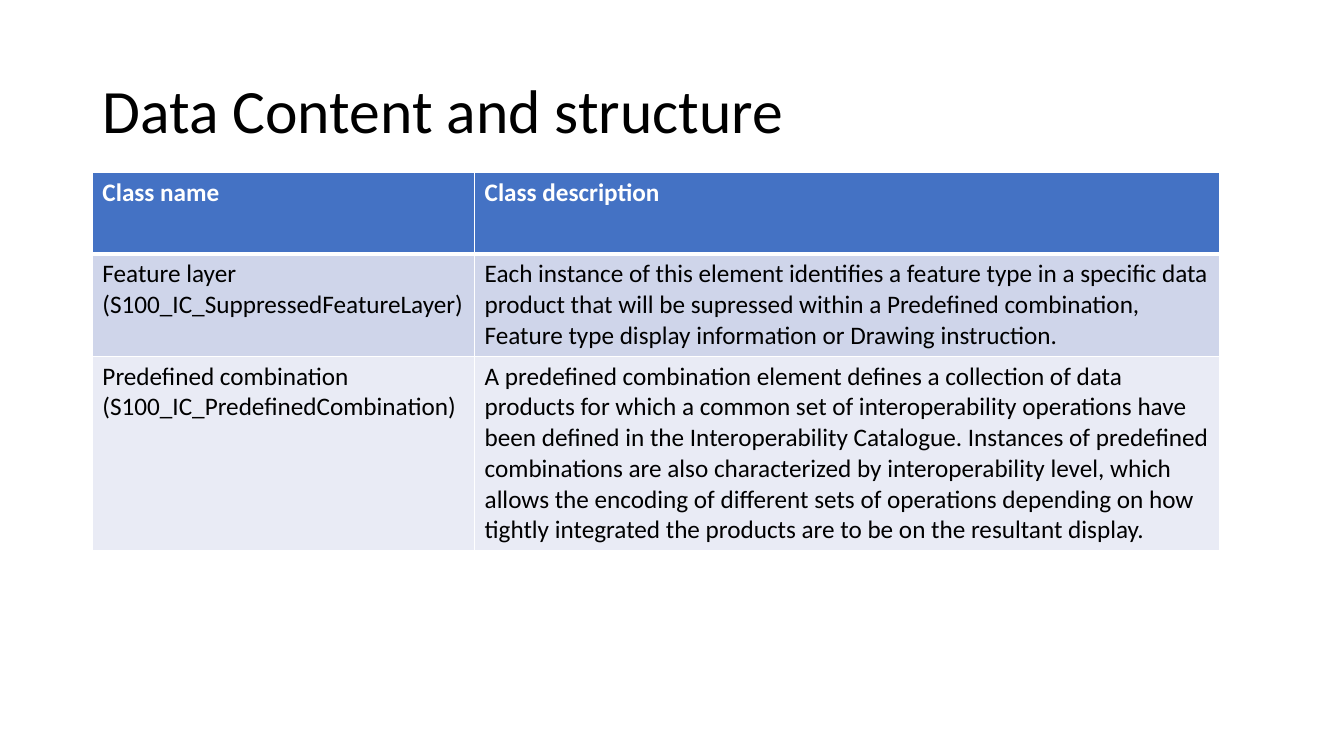
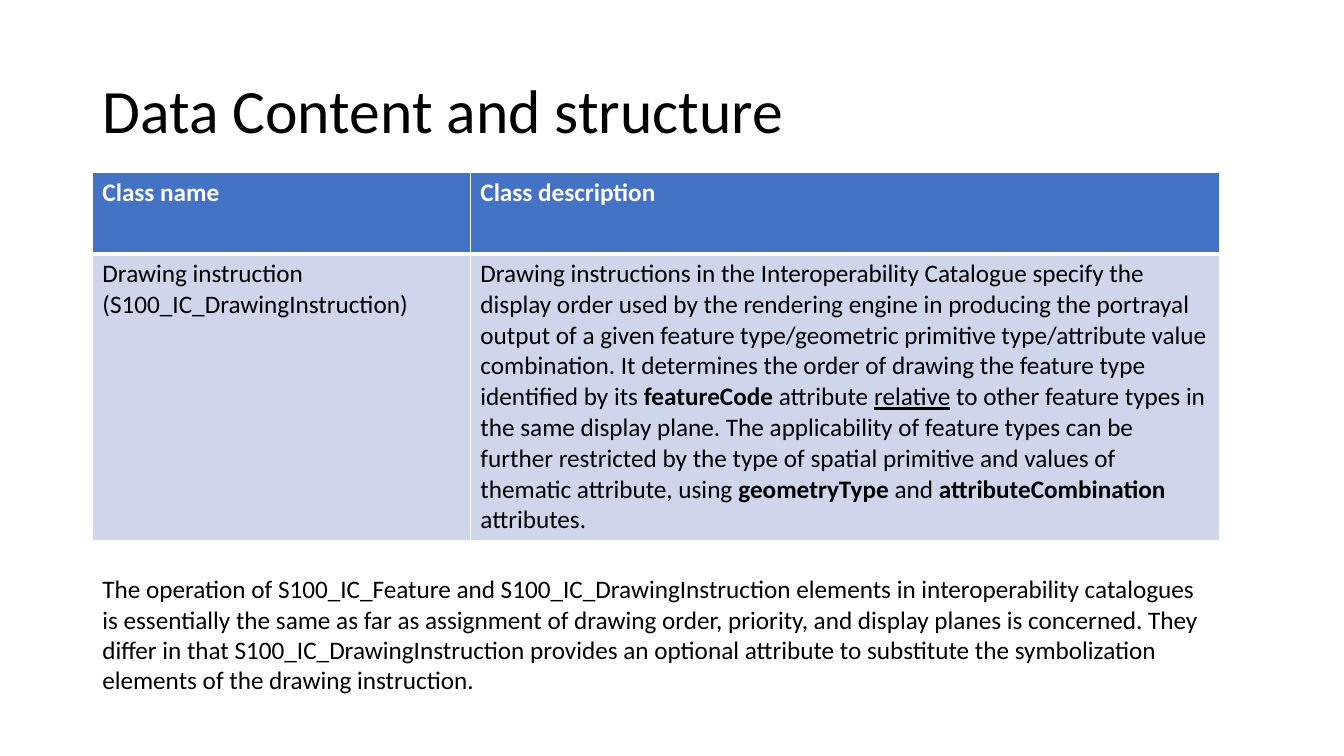
from lxml.etree import SubElement
from pptx import Presentation
from pptx.dml.color import RGBColor
from pptx.enum.text import MSO_ANCHOR, MSO_AUTO_SIZE, PP_ALIGN
from pptx.oxml.ns import qn
from pptx.util import Inches, Pt

WHITE = RGBColor(0xFF, 0xFF, 0xFF)
BLACK = RGBColor(0x00, 0x00, 0x00)
HEADER_BLUE = RGBColor(0x44, 0x72, 0xC4)
BANDS = (RGBColor(0xCF, 0xD5, 0xEA), RGBColor(0xE9, 0xEB, 0xF5))

TITLE = "Data Content and structure"
HEADINGS = ("Class name", "Class description")
BOLD, UNDERLINE = "bold", "underline"

COLUMNS, ROWS = 160, 90
MARGIN = 11
CONTENT_WIDTH = 134.16
TABLE_TOP = 20.5
HEADER_HEIGHT = 9.7

SUPPRESSED_LAYER = (
    "Feature layer (S100_IC_SuppressedFeatureLayer)",
    "Each instance of this element identifies a feature type in a specific data product "
    "that will be supressed within a Predefined combination, Feature type display "
    "information or Drawing instruction.",
)
PREDEFINED_COMBINATION = (
    "Predefined combination (S100_IC_PredefinedCombination)",
    "A predefined combination element defines a collection of data products for which a "
    "common set of interoperability operations have been defined in the Interoperability "
    "Catalogue. Instances of predefined combinations are also characterized by "
    "interoperability level, which allows the encoding of different sets of operations "
    "depending on how tightly integrated the products are to be on the resultant display.",
)
DRAWING_INSTRUCTION = (
    "Drawing instruction (S100_IC_DrawingInstruction)",
    [
        ("Drawing instructions in the Interoperability Catalogue specify the display order "
         "used by the rendering engine in producing the portrayal output of a given feature "
         "type/geometric primitive type/attribute value combination. It determines the order "
         "of drawing the feature type identified by its ", None),
        ("featureCode", BOLD),
        (" attribute ", None),
        ("relative", UNDERLINE),
        (" to other feature types in the same display plane. The applicability of feature "
         "types can be further restricted by the type of spatial primitive and values of "
         "thematic attribute, using ", None),
        ("geometryType", BOLD),
        (" and ", None),
        ("attributeCombination", BOLD),
        (" attributes.", None),
    ],
)
OPERATION_NOTE = (
    "The operation of S100_IC_Feature and S100_IC_DrawingInstruction elements in "
    "interoperability catalogues is essentially the same as far as assignment of drawing "
    "order, priority, and display planes is concerned. They differ in that "
    "S100_IC_DrawingInstruction provides an optional attribute to substitute the "
    "symbolization elements of the drawing instruction."
)


class Deck:
    font_name = "Calibri"
    title_size = 44
    text_size = 18

    def __init__(self):
        self.presentation = Presentation()
        self.presentation.slide_width = Inches(13.33)
        self.presentation.slide_height = Inches(7.5)
        self.slide = None

    def across(self, columns):
        return round(self.presentation.slide_width * columns / COLUMNS)

    def down(self, rows):
        return round(self.presentation.slide_height * rows / ROWS)

    def box(self, left, top, width, height):
        return self.across(left), self.down(top), self.across(width), self.down(height)

    def set_text(self, frame, content, size, color=BLACK, bold=False):
        paragraph = frame.paragraphs[0]
        pieces = [(content, None)] if isinstance(content, str) else content
        for text, emphasis in pieces:
            run = paragraph.add_run()
            run.text = text
            if emphasis == BOLD:
                run.font.bold = True
            elif emphasis == UNDERLINE:
                run.font.underline = True
        font = paragraph.font
        font.name, font.size, font.bold = self.font_name, Pt(size), bold
        font.color.rgb = color
        return paragraph

    def add_slide(self, heading):
        layout = self.presentation.slide_layouts[5]
        self.slide = self.presentation.slides.add_slide(layout)
        title = self.slide.shapes.title
        title.left, title.top, title.width, title.height = self.box(MARGIN, 4.8, 138, 17.4)
        frame = title.text_frame
        frame.auto_size = MSO_AUTO_SIZE.NONE
        frame.vertical_anchor = MSO_ANCHOR.MIDDLE
        paragraph = self.set_text(frame, heading, self.title_size)
        paragraph.alignment = PP_ALIGN.LEFT
        paragraph.line_spacing = 0.9

    def add_borders(self, cell, top, bottom):
        properties = cell._tc.get_or_add_tcPr()
        for side, width in (("L", 1), ("R", 1), ("T", top), ("B", bottom)):
            line = SubElement(properties, qn(f"a:ln{side}"), w=str(Pt(width)))
            fill = SubElement(line, qn("a:solidFill"))
            SubElement(fill, qn("a:srgbClr"), val=str(WHITE))

    def add_class_table(self, name_width, classes, heights):
        rows = [HEADINGS, *classes]
        heights = [HEADER_HEIGHT, *heights]
        area = self.box(MARGIN, TABLE_TOP, CONTENT_WIDTH, sum(heights))
        table = self.slide.shapes.add_table(len(rows), len(HEADINGS), *area).table
        for column, width in zip(table.columns, (name_width, CONTENT_WIDTH - name_width)):
            column.width = self.across(width)
        for index, (contents, height) in enumerate(zip(rows, heights)):
            table.rows[index].height = self.down(height)
            header = index == 0
            for cell, content in zip(table.rows[index].cells, contents):
                self.add_borders(cell, 3 if index == 1 else 1, 3 if header else 1)
                cell.fill.solid()
                cell.fill.fore_color.rgb = HEADER_BLUE if header else BANDS[(index - 1) % 2]
                self.set_text(cell.text_frame, content, self.text_size,
                              WHITE if header else BLACK, header)

    def add_note(self, content, top, height):
        area = self.box(MARGIN, top, CONTENT_WIDTH, height)
        frame = self.slide.shapes.add_textbox(*area).text_frame
        frame.word_wrap = True
        frame.auto_size = MSO_AUTO_SIZE.SHAPE_TO_FIT_TEXT
        self.set_text(frame, content, self.text_size)


def main():
    deck = Deck()

    deck.add_slide(TITLE)
    deck.add_class_table(45.5, [SUPPRESSED_LAYER, PREDEFINED_COMBINATION], [12.2, 23.2])

    deck.add_slide(TITLE)
    deck.add_class_table(45, [DRAWING_INSTRUCTION], [34])
    deck.add_note(OPERATION_NOTE, 67.7, 15.7)

    deck.presentation.save("out.pptx")


if __name__ == "__main__":
    main()
